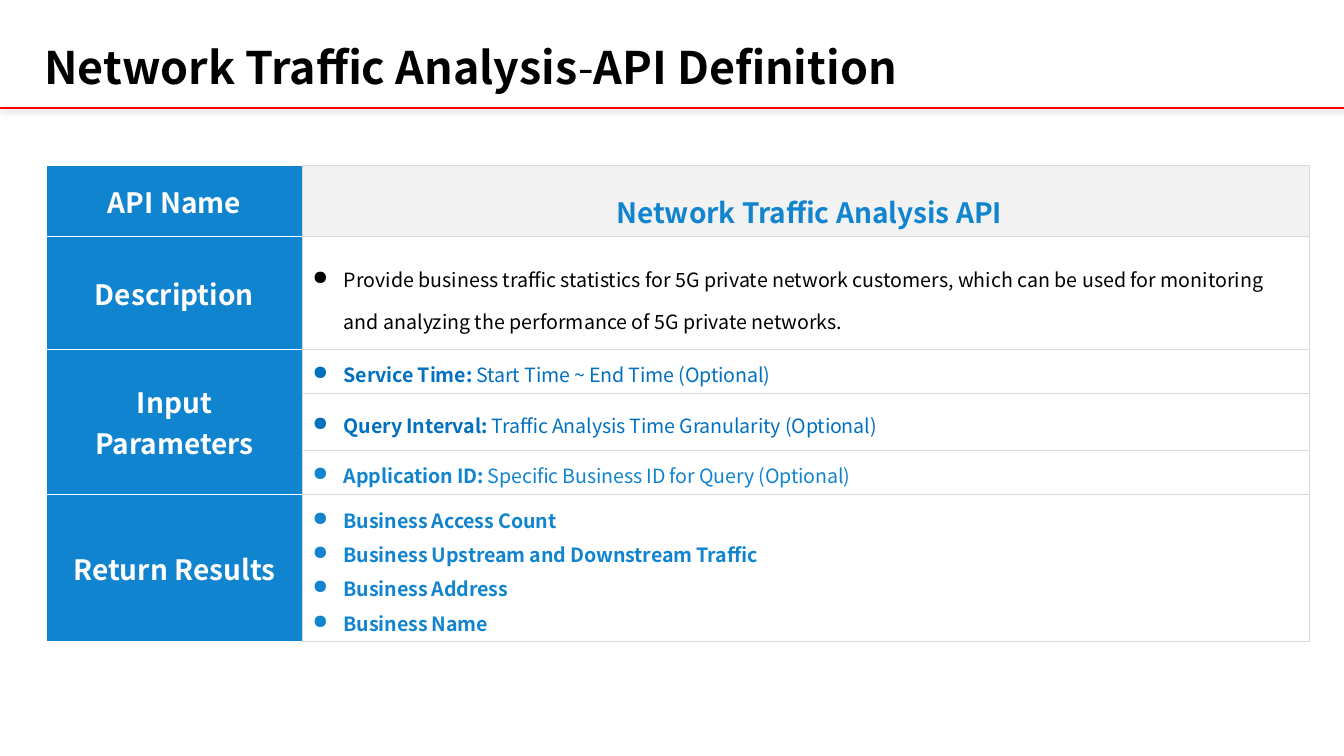
from pptx import Presentation
from pptx.dml.color import RGBColor as RGB
from pptx.enum.shapes import MSO_CONNECTOR as Link
from pptx.enum.text import MSO_ANCHOR as Anchor, PP_ALIGN as Align
from pptx.oxml import parse_xml
from pptx.oxml.ns import nsdecls
from pptx.util import Inches, Pt

FONT = "Noto Sans CJK SC"
BLUE, DEEP = RGB(0x11, 0x84, 0xCF), RGB(0x00, 0x70, 0xC0)
WHITE, BLACK = RGB(255, 255, 255), RGB(0, 0, 0)
PALE, GREY = RGB(0xF2, 0xF2, 0xF2), RGB(0xD9, 0xD9, 0xD9)
RED = RGB(255, 0, 0)

TITLE = [("Network Traffic Analysis", True), ("-", False), ("API Definition", True)]
HEADS = [(0, 0, "API Name"), (1, 1, "Description"),
         (2, 4, "Input Parameters"), (5, 5, "Return Results")]
NAME = " Network Traffic Analysis API"
BODY = [
    (1.12, BLACK, 1.5, 0, [[(
        "Provide business traffic statistics for 5G private network customers, "
        "which can be used for monitoring and analyzing the performance of "
        "5G private networks.", False)]]),
    (0.44, DEEP, 1.2, -10, [[("Service Time: ", True),
                             ("Start Time ~ End Time (Optional)", False)]]),
    (0.56, DEEP, 1.2, -10, [[("Query Interval: ", True),
                             ("Traffic Analysis Time Granularity (Optional)", False)]]),
    (0.44, BLUE, 1.2, -10, [[("Application ID: ", True),
                             ("Specific Business ID for Query (Optional)", False)]]),
    (1.46, BLUE, 1.2, -10, [[(item, True)] for item in (
        "Business Access Count", "Business Upstream and Downstream Traffic",
        "Business Address", "Business Name")]),
]
COLS = [2.54, 9.99]
ROWS = [0.7] + [row[0] for row in BODY]


def write(para, runs, size, color, align=Align.LEFT, space=1.0, track=0):
    """Fill a paragraph with (text, bold) runs."""
    para.alignment, para.line_spacing = align, space
    for text, bold in runs:
        run = para.add_run()
        run.text = text
        font = run.font
        font.name, font.size, font.bold = FONT, Pt(size), bold
        font.color.rgb = color
        if track:
            run._r.get_or_add_rPr().set("spc", str(track))


def bullet(para):
    """Give a paragraph a round bullet with a hanging indent."""
    props = para._p.get_or_add_pPr()
    props.set("marL", str(Inches(0.31)))
    props.set("indent", str(-Inches(0.31)))
    props.append(parse_xml(f'<a:buChar {nsdecls("a")} char="●"/>'))


def style(cell, fill, edge):
    """Set the fill and the four borders of a cell."""
    cell.vertical_anchor = Anchor.MIDDLE
    if fill is None:
        cell.fill.background()
    else:
        cell.fill.solid()
        cell.fill.fore_color.rgb = fill
    props = cell._tc.get_or_add_tcPr()
    for spot, side in enumerate("LRTB"):
        color = GREY if side == "R" else edge
        props.insert(spot, parse_xml(
            f'<a:ln{side} {nsdecls("a")} w="{Pt(1)}"><a:solidFill>'
            f'<a:srgbClr val="{color}"/></a:solidFill></a:ln{side}>'))


def rule(slide):
    """Draw the red line with its soft shadow under the title."""
    line = slide.shapes.add_connector(
        Link.STRAIGHT, 0, Inches(1.07), Inches(13.33), Inches(1.07))
    line.line.color.rgb, line.line.width = RED, Pt(1.5)
    line._element.spPr.append(parse_xml(
        f'<a:effectLst {nsdecls("a")}><a:outerShdw blurRad="{Pt(3.1)}" '
        f'dist="{Pt(1.6)}" dir="5400000" rotWithShape="0"><a:srgbClr val="808080">'
        '<a:alpha val="38000"/></a:srgbClr></a:outerShdw></a:effectLst>'))


def main():
    """Build the slide and save it."""
    deck = Presentation()
    deck.slide_width, deck.slide_height = Inches(13.33), Inches(7.5)
    slide = deck.slides.add_slide(deck.slide_layouts[5])
    rule(slide)

    title = slide.shapes.title
    title.left, title.top = Inches(0.34), Inches(0.4)
    title.width, title.height = Inches(11.5), Inches(1.45)
    title.text_frame.vertical_anchor = Anchor.TOP
    write(title.text_frame.paragraphs[0], TITLE, 32, BLACK, space=0.9)

    table = slide.shapes.add_table(
        len(ROWS), len(COLS), Inches(0.46), Inches(1.64),
        Inches(sum(COLS)), Inches(sum(ROWS))).table
    table.first_row = table.horz_banding = False
    for col, width in zip(table.columns, COLS):
        col.width = Inches(width)
    for row, height in zip(table.rows, ROWS):
        row.height = Inches(height)
    for num in range(len(ROWS)):
        style(table.cell(num, 0), BLUE, WHITE)
        style(table.cell(num, 1), None if num else PALE, GREY)

    for first, last, text in HEADS:
        cell = table.cell(first, 0)
        if last > first:
            cell.merge(table.cell(last, 0))
        write(cell.text_frame.paragraphs[0], [(text, True)], 20, WHITE, Align.CENTER)

    write(table.cell(0, 1).text_frame.paragraphs[0], [(NAME, True)],
          20, BLUE, Align.CENTER, 1.5)
    for num, (_, color, space, track, items) in enumerate(BODY, 1):
        frame = table.cell(num, 1).text_frame
        for spot, runs in enumerate(items):
            para = frame.add_paragraph() if spot else frame.paragraphs[0]
            write(para, runs, 14, color, space=space, track=track)
            bullet(para)

    deck.save("out.pptx")


if __name__ == "__main__":
    main()
